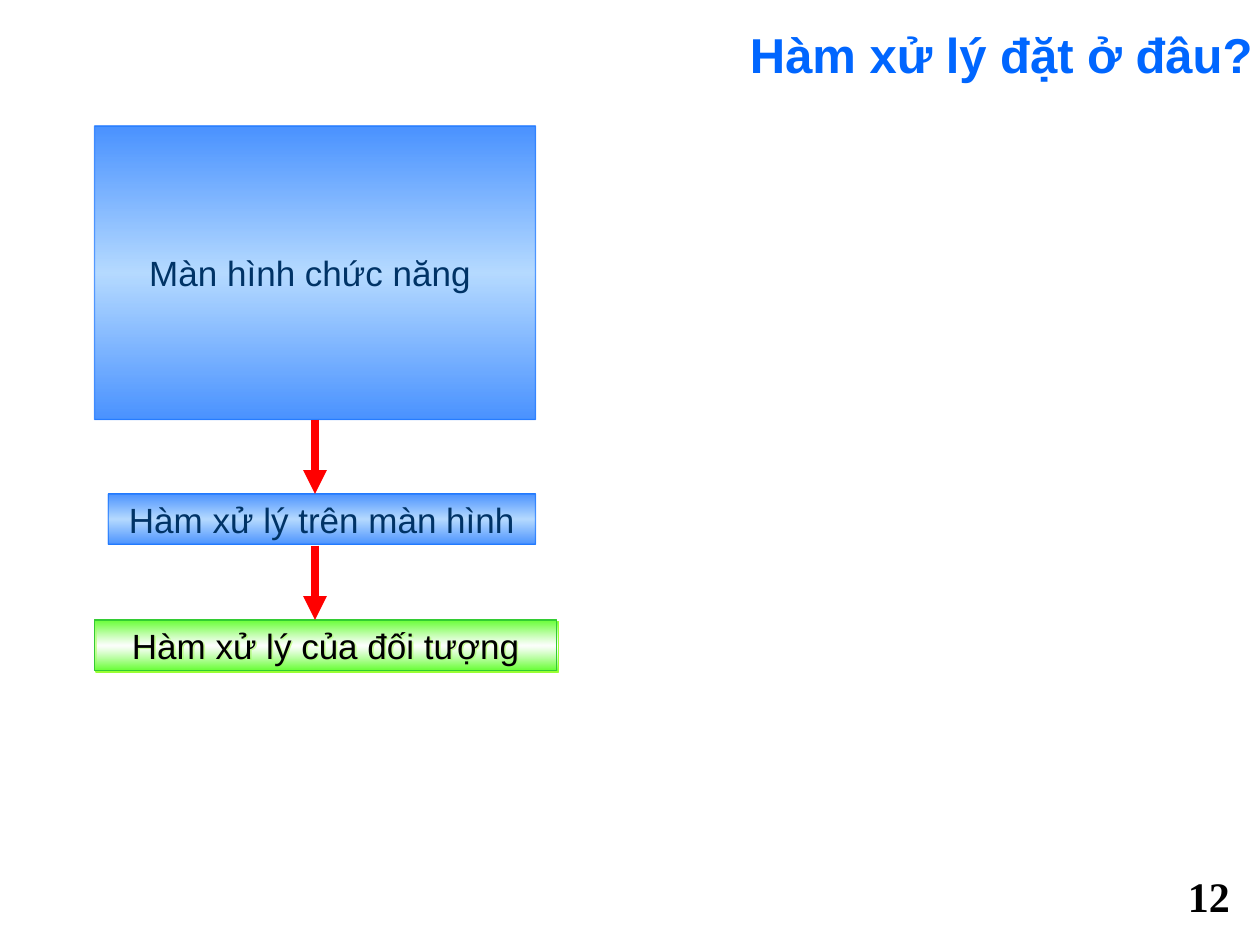
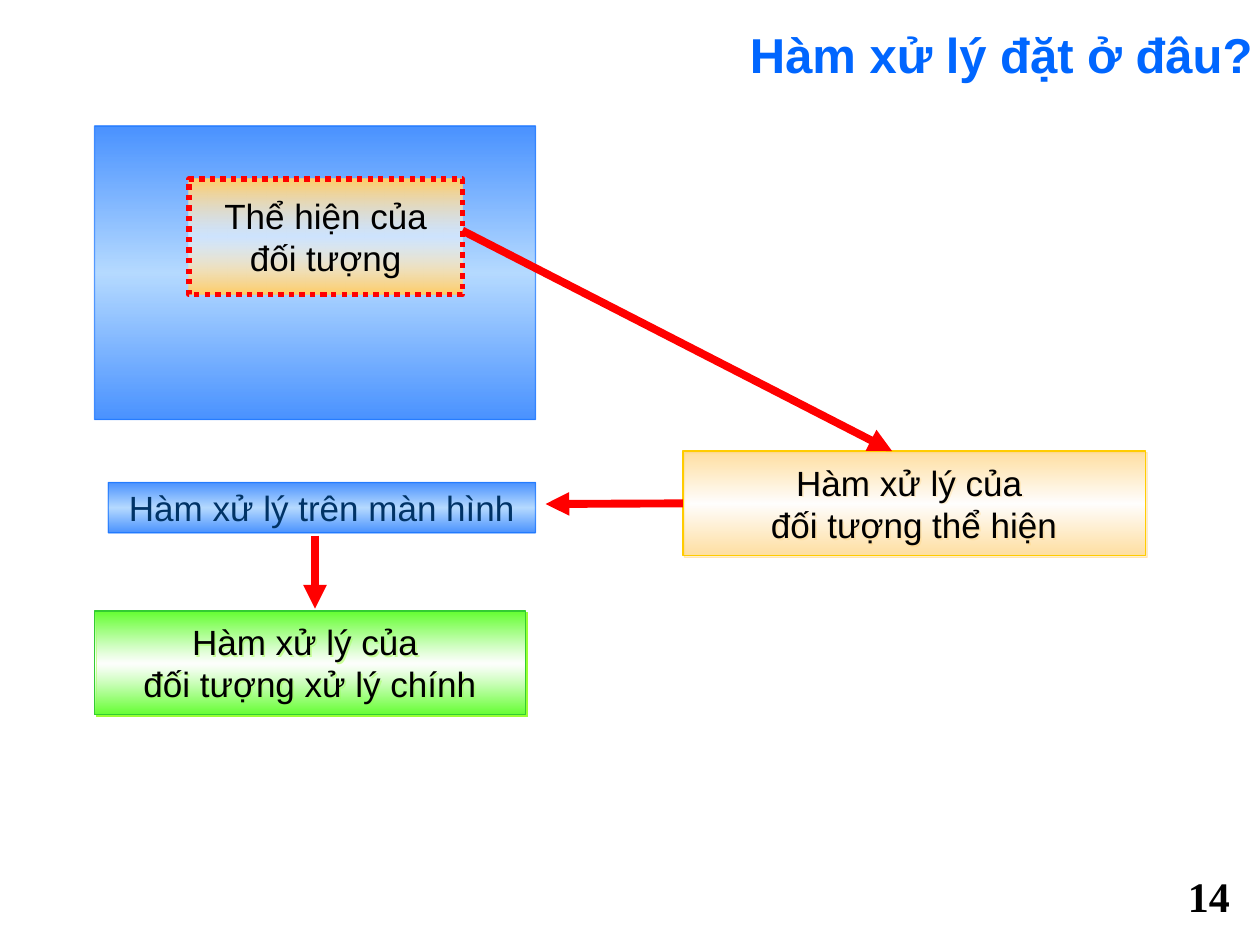
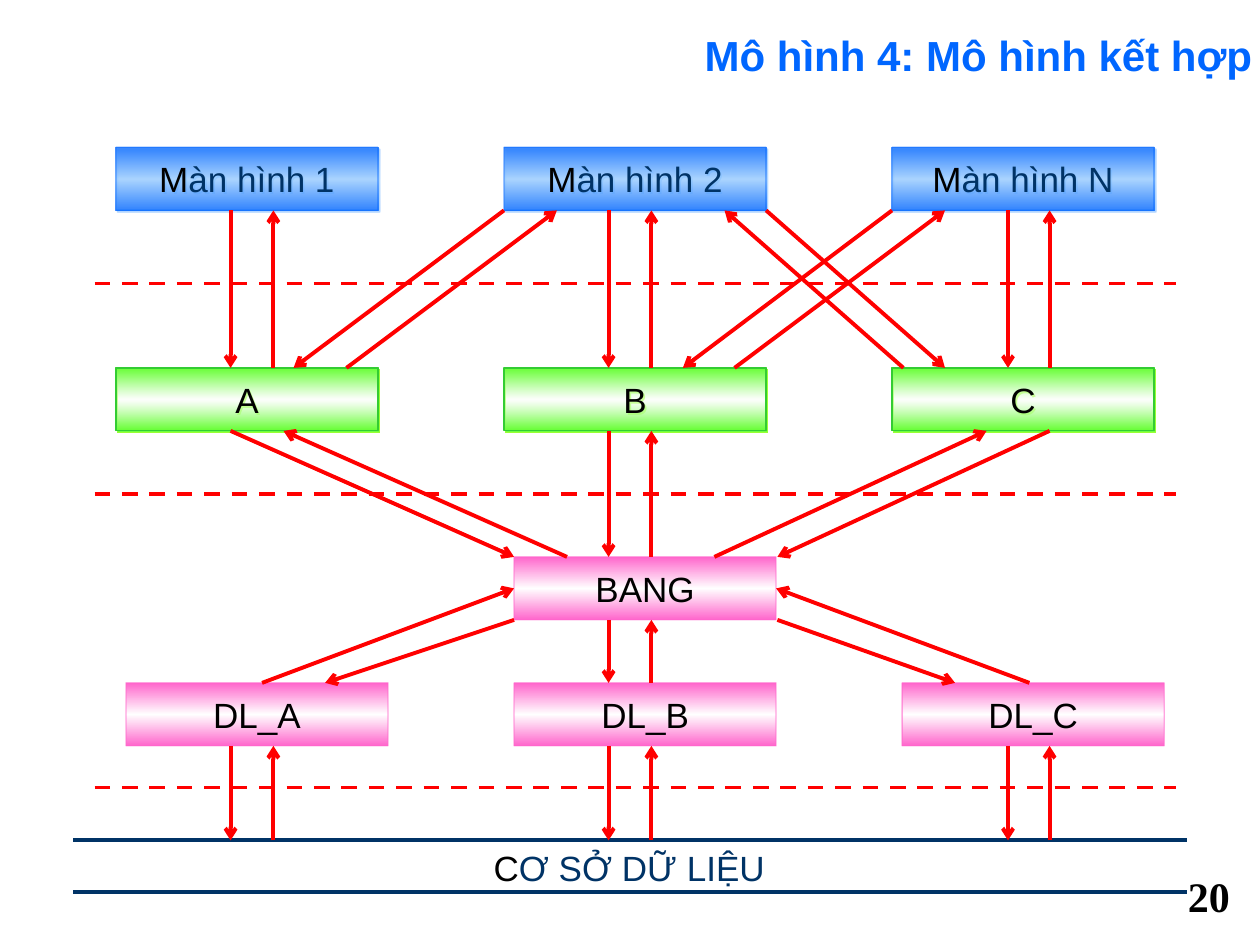
import dataclasses
import typing

import lxml.etree
import pptx
import pptx.dml.color
import pptx.enum.dml
import pptx.enum.shapes
import pptx.enum.text
import pptx.oxml.ns
import pptx.util

Inches = pptx.util.Inches
Align = pptx.enum.text.PP_ALIGN
Anchor = pptx.enum.text.MSO_ANCHOR
Dash = pptx.enum.dml.MSO_LINE
qn = pptx.oxml.ns.qn

BLACK, NAVY, BLUE, RED = "000000", "003366", "0066FF", "FF0000"
FUNC = "Hàm xử lý của "
ASK = "Hàm xử lý đặt ở đâu?"


@dataclasses.dataclass(frozen=True)
class Skin:
    edge: str
    mid: str
    line: str
    edge_fade: int = 100
    mid_fade: int = 100
    line_fade: int = 100
    width: float = 0.75
    dash: typing.Any = None
    shade: str = ""
    shade_fade: int = 100
    ink: str = BLACK


@dataclasses.dataclass(frozen=True)
class Arrow:
    start: tuple[float, float]
    end: tuple[float, float]
    color: str = RED
    width: float = 2.25
    head: str = "arrow"
    dash: typing.Any = None


SCREEN = Skin(BLUE, "99CCFF", BLUE, 71, 71, 60, ink=NAVY)
RAISED = dataclasses.replace(SCREEN, shade="3399FF", shade_fade=50)
CORE = Skin("66FF33", "FFFFFF", "33CC33", mid_fade=50, shade="99FF33")
VIEW = Skin("FFCC66", "FFFFFF", RED, mid_fade=50, width=3, dash=Dash.ROUND_DOT)
PROXY = Skin("FFCC66", "FFFFFF", "FFCC00", 50, 50, shade="FFCC66", shade_fade=50)
DATA = Skin("FF66CC", "FFFFFF", "FF66CC", line_fade=60)


def rgb(code: str) -> pptx.dml.color.RGBColor:
    return pptx.dml.color.RGBColor.from_string(code)


def tint(node, code: str, fade: int) -> None:
    color = lxml.etree.SubElement(node, qn("a:srgbClr"), val=code)
    if fade < 100:
        lxml.etree.SubElement(color, qn("a:alpha"), val=str(fade * 1000))


def write(shape, text: str, *, size=20, color=BLACK, font="Arial", bold=False,
          align=Align.CENTER, anchor=Anchor.MIDDLE, lead=0, before=None,
          space=None, inset=None) -> None:
    frame = shape.text_frame
    frame.word_wrap = True
    frame.vertical_anchor = anchor
    if inset is not None:
        frame.margin_left = frame.margin_right = Inches(inset)
        frame.margin_top = frame.margin_bottom = Inches(inset)
    for row, words in enumerate(text.split("\n")):
        para = frame.add_paragraph() if row else frame.paragraphs[0]
        para.alignment = align
        if before is not None:
            para.space_before = pptx.util.Pt(before)
        if space is not None:
            para.line_spacing = space
        for part, ink in ((words[:lead], BLACK), (words[lead:], color)):
            if part:
                run = para.add_run()
                run.text = part
                run.font.name = font
                run.font.size = pptx.util.Pt(size)
                run.font.bold = bold
                run.font.color.rgb = rgb(ink)


def label(shapes, x: float, y: float, w: float, h: float, text: str, **form) -> None:
    box = shapes.add_textbox(Inches(x), Inches(y), Inches(w), Inches(h))
    write(box, text, **form)


def block(shapes, x: float, y: float, w: float, h: float, skin: Skin,
          text: str = "", **form):
    kind = pptx.enum.shapes.MSO_SHAPE.RECTANGLE
    box = shapes.add_shape(kind, Inches(x), Inches(y), Inches(w), Inches(h))
    box.fill.gradient()
    box.fill.gradient_angle = 270
    props = box.element.spPr
    stops = props.find(".//" + qn("a:gsLst"))
    for stop in list(stops):
        stops.remove(stop)
    for spot, code, fade in ((0, skin.edge, skin.edge_fade),
                             (50, skin.mid, skin.mid_fade),
                             (100, skin.edge, skin.edge_fade)):
        tint(lxml.etree.SubElement(stops, qn("a:gs"), pos=str(spot * 1000)), code, fade)
    box.line.width = pptx.util.Pt(skin.width)
    box.line.fill.solid()
    paint = props.find(qn("a:ln")).find(qn("a:solidFill"))
    for old in list(paint):
        paint.remove(old)
    tint(paint, skin.line, skin.line_fade)
    if skin.dash is not None:
        box.line.dash_style = skin.dash
    box.shadow.inherit = False
    if skin.shade:
        cast = lxml.etree.SubElement(
            props.find(qn("a:effectLst")), qn("a:outerShdw"),
            dist=str(pptx.util.Pt(1.4)), dir="2700000", algn="ctr", rotWithShape="0")
        tint(cast, skin.shade, skin.shade_fade)
    if text:
        write(box, text, color=skin.ink, **form)
    return box


def link(shapes, arrow: Arrow, begin=None, end=None) -> None:
    kind = pptx.enum.shapes.MSO_CONNECTOR.STRAIGHT
    line = shapes.add_connector(kind, *(Inches(v) for v in arrow.start + arrow.end))
    line.line.width = pptx.util.Pt(arrow.width)
    line.line.color.rgb = rgb(arrow.color)
    if arrow.dash is not None:
        line.line.dash_style = arrow.dash
    props = line.element.spPr
    if arrow.head:
        lxml.etree.SubElement(props.find(qn("a:ln")), qn("a:tailEnd"), type=arrow.head)
    lxml.etree.SubElement(props, qn("a:effectLst"))
    if begin:
        line.begin_connect(*begin)
    if end:
        line.end_connect(*end)


def thick(start: tuple[float, float], end: tuple[float, float]) -> Arrow:
    return Arrow(start, end, width=4.5, head="triangle")


def page(deck, title: str, number: int, size: int = 28):
    shapes = deck.slides.add_slide(deck.slide_layouts[6]).shapes
    label(shapes, 0.06, 0.06, 9.88, 0.8, title, size=size, color=BLUE, bold=True,
          align=Align.RIGHT, space=0.9, inset=0)
    label(shapes, 9.33, 6.83, 0.64, 0.53, str(number), size=24, bold=True,
          font="Times New Roman", align=Align.LEFT, anchor=Anchor.BOTTOM)
    return shapes


def screen(shapes, text: str, y: float):
    box = block(shapes, 0.75, 1, 3.5, 2.33, SCREEN, text)
    block(shapes, 0.86, y, 3.39, 0.4, SCREEN, "Hàm xử lý trên màn hình")
    return box


def direct(deck) -> None:
    shapes = page(deck, ASK, 12)
    top = screen(shapes, "Màn hình chức năng ", 3.92)
    block(shapes, 0.75, 4.92, 3.67, 0.4, CORE, FUNC + "đối tượng")
    link(shapes, thick((2.5, 3.33), (2.5, 3.92)), begin=(top, 2))
    link(shapes, thick((2.5, 4.33), (2.5, 4.92)))


def proxy(deck) -> None:
    shapes = page(deck, ASK, 14)
    screen(shapes, "", 3.83)
    block(shapes, 0.75, 4.85, 3.42, 0.82, CORE, FUNC + "\nđối tượng xử lý chính")
    block(shapes, 1.5, 1.42, 2.17, 0.92, VIEW, "Thể hiện của đối tượng")
    side = block(shapes, 5.42, 3.58, 3.67, 0.83, PROXY, FUNC + "\nđối tượng thể hiện")
    link(shapes, thick((2.5, 4.25), (2.5, 4.83)))
    link(shapes, thick((3.67, 1.83), (7.08, 3.58)))
    link(shapes, thick((5.42, 4), (4.33, 4)), begin=(side, 1))


def store(shapes) -> None:
    group = shapes.add_group_shape().shapes
    for y in (6.67, 7.08):
        link(group, Arrow((0.58, y), (9.42, y), NAVY, head=""))
    label(group, 0.58, 6.67, 8.83, 0.44, "CƠ SỞ DỮ LIỆU", color=NAVY, lead=1,
          before=12.5, anchor=Anchor.TOP)


def mixed(deck) -> None:
    shapes = page(deck, "Mô hình 4: Mô hình kết hợp", 20, 24)
    store(shapes)
    for y in (2.25, 3.92, 6.25):
        link(shapes, Arrow((0.75, y), (9.33, y), head="", dash=Dash.DASH))

    wide, tall, step = 2.08, 0.5, 3.08
    for col, (name, core) in enumerate(zip("12N", "ABC")):
        x = 0.92 + col * step
        block(shapes, x, 1.17, wide, tall, RAISED, f"Màn hình {name}", lead=1, before=12.5)
        block(shapes, x, 2.92, wide, tall, CORE, core)
        block(shapes, x + 0.08, 5.42, wide, tall, DATA, f"DL_{core}")
    hub = block(shapes, 4.08, 4.42, wide, tall, DATA, "BANG")

    lanes = ((1.83, 2.17), (4.83, 5.17), (8, 8.33))
    spans = ((1.67, 2.92, lanes), (3.42, 4.42, lanes[1:2]),
             (4.92, 5.42, lanes[1:2]), (5.92, 6.67, lanes))
    for top, low, pairs in spans:
        for down, up in pairs:
            link(shapes, Arrow((down, top), (down, low)))
            link(shapes, Arrow((up, low), (up, top)))

    slants = (
        (4, 1.67, 2.33, 2.92), (2.75, 2.92, 4.42, 1.67),
        (7.08, 1.67, 5.42, 2.92), (5.83, 2.92, 7.5, 1.67),
        (7.17, 2.92, 5.75, 1.67), (6.08, 1.67, 7.5, 2.92),
        (1.83, 3.42, 4.08, 4.42), (4.5, 4.42, 2.25, 3.42),
        (8.33, 3.42, 6.17, 4.42), (5.67, 4.42, 7.83, 3.42),
        (6.17, 4.92, 7.58, 5.42), (4.08, 4.92, 2.58, 5.42),
    )
    for x1, y1, x2, y2 in slants:
        link(shapes, Arrow((x1, y1), (x2, y2)))
    link(shapes, Arrow((2.08, 5.42), (4.08, 4.67)), end=(hub, 1))
    link(shapes, Arrow((8.17, 5.42), (6.17, 4.67)), end=(hub, 3))


def main() -> None:
    deck = pptx.Presentation()
    deck.slide_width, deck.slide_height = Inches(10), Inches(7.5)
    for draw in (direct, proxy, mixed):
        draw(deck)
    deck.save("out.pptx")


if __name__ == "__main__":
    main()
